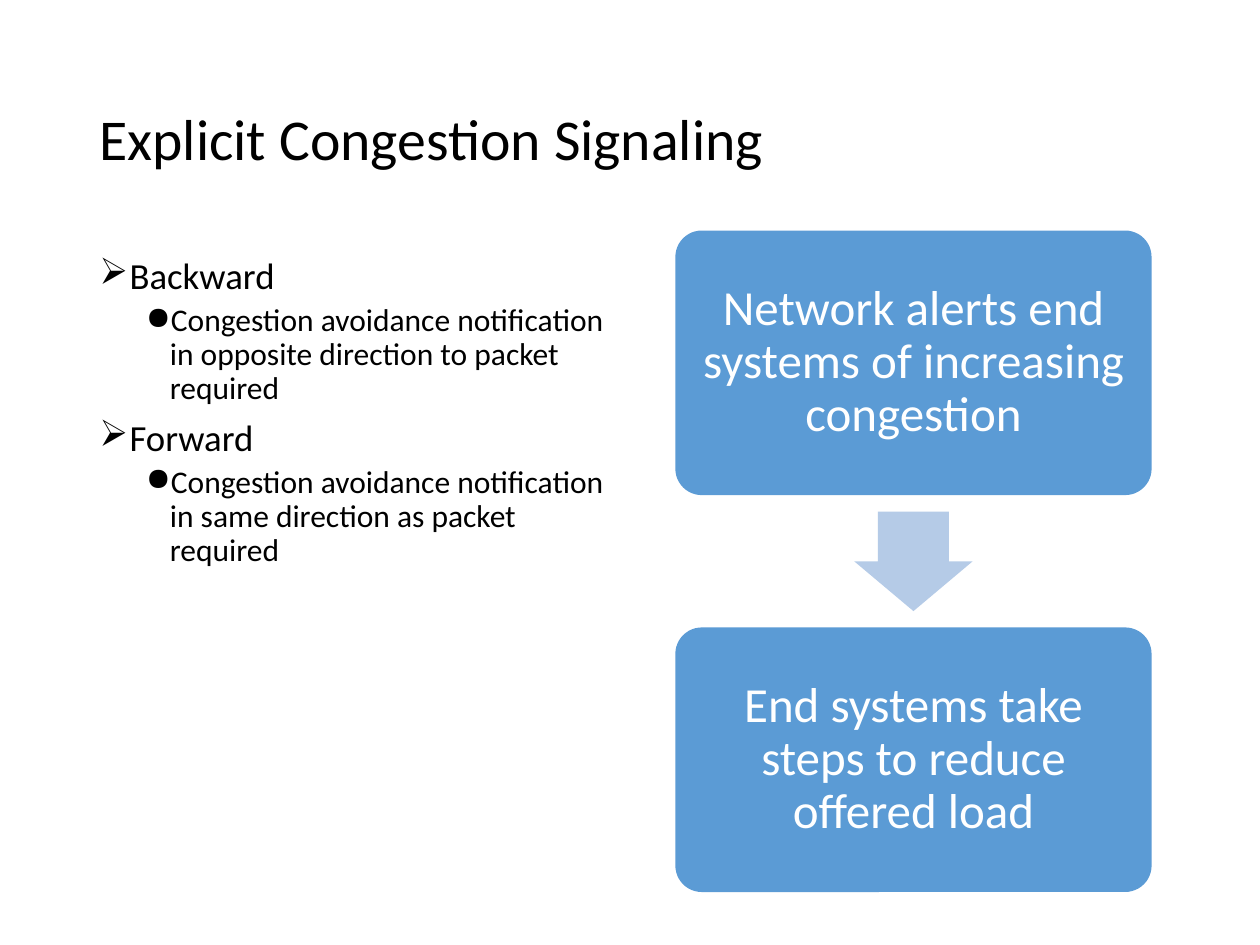
import pptx
import pptx.util
import pptx.dml.color
import pptx.enum.shapes
import pptx.enum.text
import pptx.oxml.ns
from lxml import etree

Inches, Pt = pptx.util.Inches, pptx.util.Pt
SHAPE = pptx.enum.shapes.MSO_SHAPE
ANCHOR = pptx.enum.text.MSO_ANCHOR
ALIGN = pptx.enum.text.PP_ALIGN


def rgb(color):
    return pptx.dml.color.RGBColor.from_string(color)


def write(p, text, size=18, color="000000", font="Calibri", align=ALIGN.LEFT, before=0):
    p.alignment = align
    p.line_spacing = 0.9
    p.space_before = Pt(before)
    r = p.add_run()
    r.text = text
    r.font.size = Pt(size)
    r.font.name = font
    r.font.color.rgb = rgb(color)


def add_bullet(p, char, left, hang):
    """Give the paragraph a bullet and a hanging indent, in inches."""
    pPr = p._p.get_or_add_pPr()
    pPr.set("marL", str(Inches(left)))
    pPr.set("indent", str(-Inches(hang)))
    bullet = etree.SubElement(pPr, pptx.oxml.ns.qn("a:buChar"))
    bullet.set("char", char)


class SlideBuilder:
    box_fill = "5B9BD5"
    arrow_fill = "B5CBE7"
    # bullet, left indent, text size, space before
    levels = [("➢", 0.24, 21, 7.5), ("●", 0.56, 18, 3.8)]
    hangs = [0.24, 0.19]

    def __init__(self, s):
        self.s = s

    def text_frame(self, x, y, w, h, anchor=ANCHOR.TOP):
        tf = self.s.shapes.add_textbox(Inches(x), Inches(y), Inches(w), Inches(h)).text_frame
        tf.word_wrap = True
        tf.vertical_anchor = anchor
        return tf

    def title(self, text, x, y, w, h):
        tf = self.text_frame(x, y, w, h, ANCHOR.MIDDLE)
        write(tf.paragraphs[0], text, size=33)

    def outline(self, items, x, y, w, h):
        tf = self.text_frame(x, y, w, h)
        for i, (level, text) in enumerate(items):
            p = tf.add_paragraph() if i else tf.paragraphs[0]
            char, left, size, before = self.levels[level]
            p.level = level
            add_bullet(p, char, left, self.hangs[level])
            write(p, text, size=size, before=before if i else 0)

    def shape(self, kind, fill, adjustments, x, y, w, h):
        sp = self.s.shapes.add_shape(kind, Inches(x), Inches(y), Inches(w), Inches(h))
        sp.shadow.inherit = False
        sp.fill.solid()
        sp.fill.fore_color.rgb = rgb(fill)
        sp.line.fill.background()
        for i, value in enumerate(adjustments):
            sp.adjustments[i] = value
        return sp

    def step(self, text, x, y, w, h):
        sp = self.shape(SHAPE.ROUNDED_RECTANGLE, self.box_fill, [0.1], x, y, w, h)
        tf = sp.text_frame
        tf.word_wrap = True
        tf.vertical_anchor = ANCHOR.MIDDLE
        tf.margin_left = tf.margin_right = tf.margin_top = tf.margin_bottom = Inches(0.12)
        write(tf.paragraphs[0], text, size=28, color="FFFFFF", align=ALIGN.CENTER)

    def down_arrow(self, x, y, w, h):
        self.shape(SHAPE.DOWN_ARROW, self.arrow_fill, [0.6, 0.5], x, y, w, h)

    def flow(self, steps, x, y, w, h, gap):
        """Stack the steps downwards with an arrow centred in each gap."""
        arrow_w, arrow_h = 0.94, 0.79
        for i, text in enumerate(steps):
            top = y + i * (h + gap)
            if i:
                self.down_arrow(x + (w - arrow_w) / 2, top - (gap + arrow_h) / 2,
                                arrow_w, arrow_h)
            self.step(text, x, top, w, h)


def main():
    prs = pptx.Presentation()
    prs.slide_width, prs.slide_height = Inches(10), Inches(7.5)
    slide = SlideBuilder(prs.slides.add_slide(prs.slide_layouts[6]))
    slide.title("Explicit Congestion Signaling", 0.69, 0.4, 8.62, 1.45)
    slide.outline([
        (0, "Backward"),
        (1, "Congestion avoidance notification in opposite direction to packet required"),
        (0, "Forward"),
        (1, "Congestion avoidance notification in same direction as packet required"),
    ], 0.69, 2, 4.25, 4.76)
    slide.flow([
        "Network alerts end systems of increasing congestion",
        "End systems take steps to reduce offered load",
    ], 5.36, 1.83, 3.78, 2.1, gap=1.05)
    prs.save("out.pptx")


if __name__ == "__main__":
    main()
